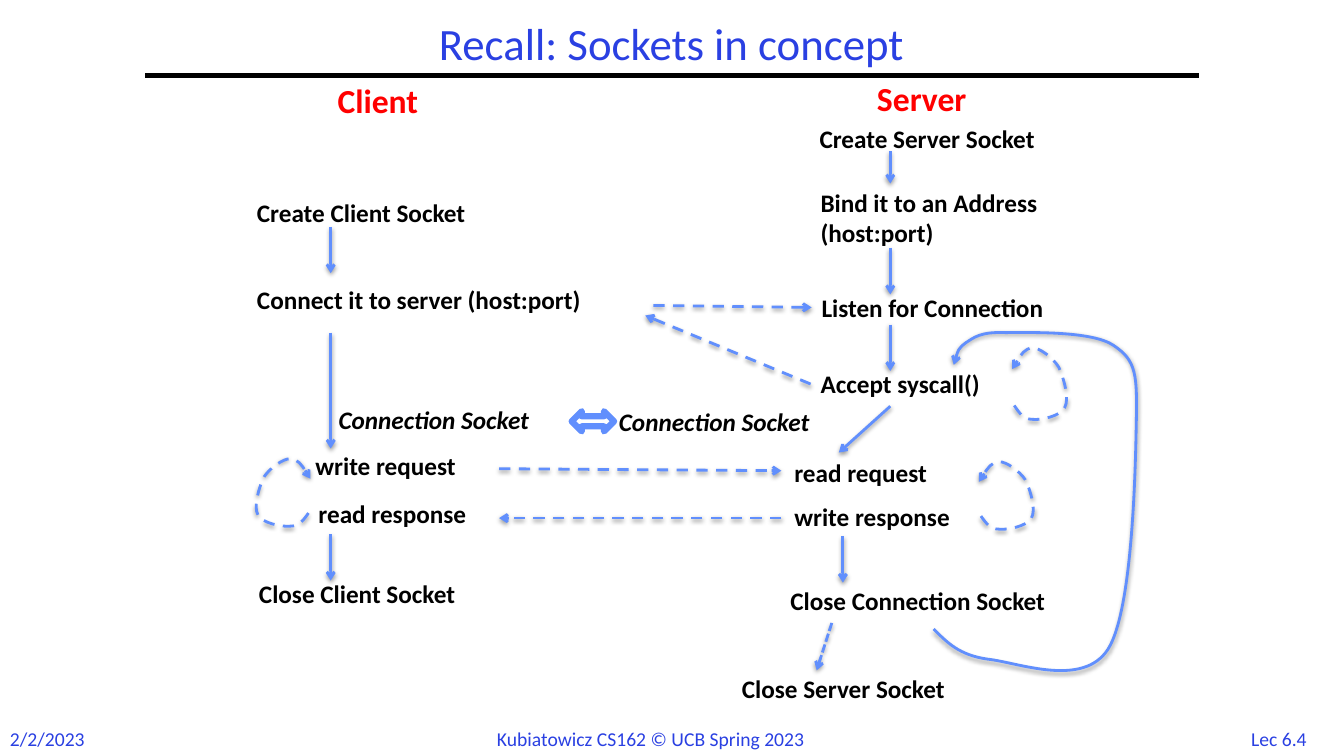
import dataclasses
import typing

import lxml.etree
import pptx
import pptx.dml.color
import pptx.enum.dml
import pptx.enum.shapes
import pptx.enum.text
import pptx.oxml
import pptx.oxml.ns
import pptx.util

Inches = pptx.util.Inches
Point = tuple[float, float]
Dash = pptx.enum.dml.MSO_LINE
Align = pptx.enum.text.PP_ALIGN
qn = pptx.oxml.ns.qn


@dataclasses.dataclass(frozen=True)
class Theme:
    font: str = "Calibri"
    title_size: float = 32
    heading_size: float = 24
    step_size: float = 18
    footer_size: float = 14
    arrow_width: float = 2
    rule_width: float = 3
    link_width: float = 4.5
    title: str = "2A40E2"
    heading: str = "FF0000"
    step: str = "000000"
    rule: str = "000000"
    arrow: str = "618FFD"
    background: str = "FFFFFF"


THEME = Theme()


@dataclasses.dataclass(frozen=True)
class Label:
    text: str
    left: float
    top: float
    width: float
    height: float = 0.4
    size: float = THEME.step_size
    color: str = THEME.step
    bold: bool = True
    italic: bool = False
    align: Align = Align.LEFT


@dataclasses.dataclass(frozen=True)
class Arrow:
    start: Point
    end: Point
    dash: typing.Optional[Dash] = None
    start_step: str = ""
    end_step: str = ""


@dataclasses.dataclass(frozen=True)
class Loop:
    """A repeat arrow; a direction of -1 mirrors it to the left of its tip."""
    tip_x: float
    top: float
    direction: int = 1
    stretch: float = 1


TITLE = Label("Recall: Sockets in concept", 1.44, 0.17, 10.44, 0.58,
              THEME.title_size, THEME.title, bold=False, align=Align.CENTER)

HEADINGS = [
    Label(text, left, top, width, 0.5, THEME.heading_size, THEME.heading)
    for text, left, top, width in (("Client", 3.25, 0.74, 1.14), ("Server", 8.6, 0.72, 1.3))
]

FOOTERS = [
    Label(text, left, 7.16, width, 0.34, THEME.footer_size, THEME.title, bold=False, align=align)
    for text, left, width, align in (
        ("2/2/2023", 0, 0.96, Align.LEFT),
        ("Kubiatowicz CS162 © UCB Spring 2023", 4.83, 3.68, Align.LEFT),
        ("Lec 6.4", 12.2, 0.97, Align.CENTER),
    )
]

LISTEN = "Listen for Connection"
ACCEPT = "Accept syscall()"
STEPS = [
    Label("Create Client Socket", 2.45, 1.91, 2.66),
    Label("Connect it to server (host:port)", 2.45, 2.77, 3.92),
    Label("Connection Socket", 3.26, 3.96, 2.49, italic=True),
    Label("write request", 3.03, 4.42, 1.77),
    Label("read response", 3.06, 4.89, 1.91),
    Label("Close Client Socket", 2.47, 5.69, 2.57),
    Label("Create Server Socket", 8.03, 1.17, 2.74),
    Label("Bind it to an Address\n(host:port)", 8.04, 1.81, 2.8, 0.71),
    Label(LISTEN, 8.05, 2.85, 2.8),
    Label(ACCEPT, 8.04, 3.61, 2.13),
    Label("Connection Socket", 6.04, 3.98, 2.49, italic=True),
    Label("read request", 7.78, 4.49, 1.77),
    Label("write response", 7.78, 4.92, 1.99),
    Label("Close Connection Socket", 7.74, 5.76, 3.25),
    Label("Close Server Socket", 7.26, 6.63, 2.7),
]

CLIENT_X, SERVER_X = 3.28, 8.83
ARROWS = [
    Arrow((CLIENT_X, 2.25), (CLIENT_X, 2.71)),
    Arrow((CLIENT_X, 3.3), (CLIENT_X, 4.45)),
    Arrow((CLIENT_X, 5.3), (CLIENT_X, 5.76)),
    Arrow((SERVER_X, 1.5), (SERVER_X, 1.82)),
    Arrow((SERVER_X, 2.46), (SERVER_X, 2.92)),
    Arrow((SERVER_X, 3.22), (SERVER_X, 3.68)),
    Arrow((SERVER_X, 4.03), (8.32, 4.49)),
    Arrow((8.36, 5.32), (8.36, 5.78)),
    Arrow((8.25, 6.18), (8.1, 6.65), Dash.SQUARE_DOT),
    Arrow((6.48, 3.03), (8.05, 3.05), Dash.DASH, end_step=LISTEN),
    Arrow((8.04, 3.82), (6.4, 3.13), Dash.DASH, start_step=ACCEPT),
    Arrow((4.95, 4.65), (7.75, 4.67), Dash.DASH),
    Arrow((7.75, 5.14), (4.95, 5.14), Dash.DASH),
]

LOOPS = [Loop(9.71, 4.58), Loop(3.08, 4.55, direction=-1), Loop(10.04, 3.45, stretch=1.06)]
# Start point, then two control points and an end point for each Bézier segment.
LOOP_CURVE = [
    (0.02, 0.54), (0.07, 0.61), (0.11, 0.67), (0.2, 0.67), (0.28, 0.68), (0.48, 0.64),
    (0.52, 0.56), (0.57, 0.48), (0.51, 0.28), (0.46, 0.18), (0.4, 0.09), (0.27, 0),
    (0.2, 0), (0.12, 0.01), (0.06, 0.1), (0, 0.2),
]
NEXT_CLIENT_CURVE = [
    (9.26, 6.24), (9.39, 6.37), (9.51, 6.5), (9.8, 6.54), (10.09, 6.57), (10.74, 6.83),
    (10.99, 6.44), (11.23, 6.06), (11.26, 4.71), (11.27, 4.21), (11.28, 3.71), (11.27, 3.58),
    (11.05, 3.43), (10.84, 3.28), (10.21, 3.3), (9.97, 3.3), (9.72, 3.29), (9.66, 3.35),
    (9.58, 3.4), (9.5, 3.46), (9.48, 3.54), (9.46, 3.62),
]


def rgb(color: str) -> pptx.dml.color.RGBColor:
    return pptx.dml.color.RGBColor.from_string(color)


def add_label(slide, label: Label, wrap: bool = False):
    box = slide.shapes.add_textbox(*map(Inches, (label.left, label.top, label.width, label.height)))
    frame = box.text_frame
    frame.word_wrap = wrap
    for index, text in enumerate(label.text.split("\n")):
        paragraph = frame.add_paragraph() if index else frame.paragraphs[0]
        paragraph.alignment = label.align
        run = paragraph.add_run()
        run.text = text
        run.font.name, run.font.size = THEME.font, pptx.util.Pt(label.size)
        run.font.bold, run.font.italic = label.bold, label.italic
        run.font.color.rgb = rgb(label.color)
    return box


def style_line(shape, color: str, width: float) -> None:
    shape.line.color.rgb = rgb(color)
    shape.line.width = pptx.util.Pt(width)


def style_arrow(shape, dash: typing.Optional[Dash]) -> None:
    """Give a connector or curve its stroke, arrowhead and soft shadow."""
    style_line(shape, THEME.arrow, THEME.arrow_width)
    shape.line.dash_style = dash
    properties = shape.element.spPr
    lxml.etree.SubElement(properties.find(qn("a:ln")), qn("a:tailEnd"), type="arrow")
    properties.append(pptx.oxml.parse_xml(
        f'<a:effectLst {pptx.oxml.ns.nsdecls("a")}>'
        '<a:outerShdw blurRad="40000" dist="20000" dir="5400000" rotWithShape="0">'
        '<a:srgbClr val="000000"><a:alpha val="38000"/></a:srgbClr></a:outerShdw></a:effectLst>'))


def add_line(slide, start: Point, end: Point):
    return slide.shapes.add_connector(
        pptx.enum.shapes.MSO_CONNECTOR.STRAIGHT, *map(Inches, (*start, *end)))


def add_arrow(slide, arrow: Arrow, boxes: dict) -> None:
    connector = add_line(slide, arrow.start, arrow.end)
    if arrow.start_step:
        connector.begin_connect(boxes[arrow.start_step], 1)
    if arrow.end_step:
        connector.end_connect(boxes[arrow.end_step], 1)
    style_arrow(connector, arrow.dash)


def add_curve(slide, points: list[Point], dash: typing.Optional[Dash] = None) -> None:
    """Outline the Bézier points, then merge every three segments into one curve."""
    start, *rest = [(Inches(x), Inches(y)) for x, y in points]
    builder = slide.shapes.build_freeform(*start)
    builder.add_line_segments(rest, close=False)
    shape = builder.convert_to_shape()
    shape.fill.background()
    segments = list(shape.element.iter(qn("a:lnTo")))
    for first, second, third in zip(segments[::3], segments[1::3], segments[2::3]):
        curve = lxml.etree.Element(qn("a:cubicBezTo"))
        first.addprevious(curve)
        for segment in (first, second, third):
            curve.append(segment[0])
            segment.getparent().remove(segment)
    style_arrow(shape, dash)


def main() -> None:
    presentation = pptx.Presentation()
    presentation.slide_width, presentation.slide_height = Inches(13.33), Inches(7.5)
    slide = presentation.slides.add_slide(presentation.slide_layouts[6])

    rule = add_line(slide, (1.44, 0.75), (11.89, 0.75))
    style_line(rule, THEME.rule, THEME.rule_width)
    lxml.etree.SubElement(rule.element.spPr, qn("a:effectLst"))

    title = add_label(slide, TITLE, wrap=True).text_frame
    title.vertical_anchor = pptx.enum.text.MSO_ANCHOR.MIDDLE
    title.paragraphs[0].line_spacing = 0.9
    boxes = {label.text: add_label(slide, label) for label in HEADINGS + FOOTERS}
    for step in STEPS:
        boxes[step.text] = add_label(slide, step)

    for arrow in ARROWS:
        add_arrow(slide, arrow, boxes)
    for loop in LOOPS:
        add_curve(slide, [(loop.tip_x + loop.direction * x, loop.top + loop.stretch * y)
                          for x, y in LOOP_CURVE], Dash.DASH)
    add_curve(slide, NEXT_CLIENT_CURVE)

    link = slide.shapes.add_shape(pptx.enum.shapes.MSO_SHAPE.LEFT_RIGHT_ARROW,
                                  *map(Inches, (5.67, 4.08, 0.42, 0.2)))
    link.shadow.inherit = False
    link.fill.solid()
    link.fill.fore_color.rgb = rgb(THEME.background)
    style_line(link, THEME.arrow, THEME.link_width)

    presentation.save("out.pptx")


if __name__ == "__main__":
    main()
